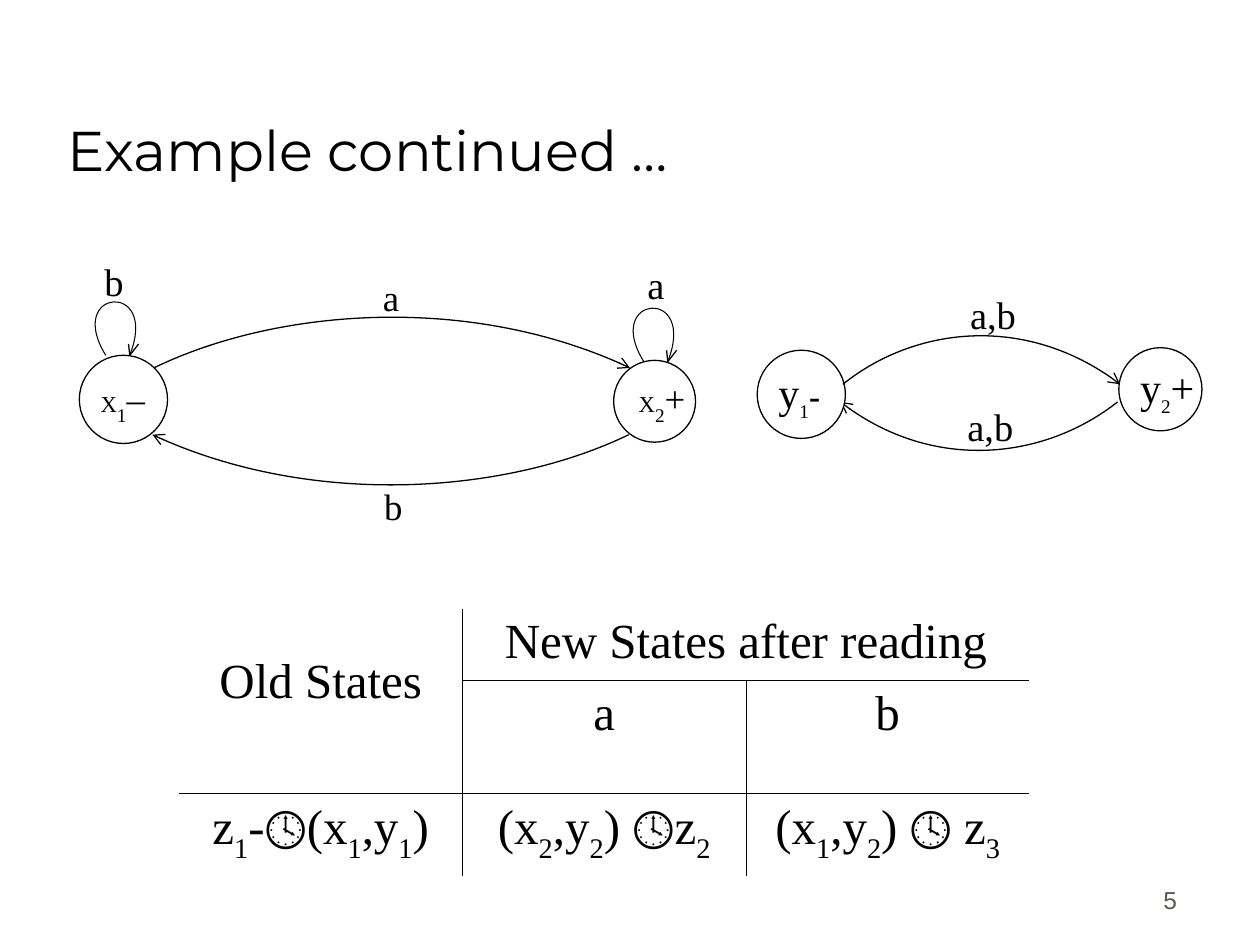
from dataclasses import dataclass
from typing import Optional

from lxml.etree import SubElement
from pptx import Presentation
from pptx.dml.color import RGBColor
from pptx.enum.shapes import MSO_SHAPE as Shape
from pptx.enum.text import MSO_ANCHOR as Anchor, PP_ALIGN as Align
from pptx.oxml.ns import qn
from pptx.util import Inches, Pt

BLACK, WHITE, GREY = "000000", "FFFFFF", "5E574E"
SERIF, SYMBOL = "Times New Roman", "Cambria"
CLOCK = "🕓"


@dataclass
class Run:
    text: str
    size: Optional[float] = None
    font: Optional[str] = None
    lowered: bool = False
    bold: bool = False


@dataclass
class Label:
    left: float
    top: float
    width: float
    height: float
    runs: list[Run]
    size: float = 22
    font: str = SERIF
    color: str = BLACK
    align: Align = Align.LEFT
    anchor: Anchor = Anchor.TOP


@dataclass
class State:
    left: float
    top: float
    diameter: float


@dataclass
class Curve:
    points: list[tuple[float, float]]
    arrow: bool = True
    weight: float = 0.75


def rgb(color: str) -> RGBColor:
    return RGBColor.from_string(color)


def subscript_runs(markup: str) -> list[Run]:
    head, *tails = markup.split("_")
    pieces = [(head, False)]
    for tail in tails:
        pieces += [(tail[0], True), (tail[1:], False)]
    runs = []
    for text, lowered in pieces:
        before, clock, after = text.partition(CLOCK)
        runs += [Run(before, lowered=lowered), Run(clock, font=SYMBOL), Run(after)]
    return [run for run in runs if run.text]


def write(paragraph, runs: list[Run], size: float, font: str = SERIF,
          color: str = BLACK, align: Align = Align.LEFT) -> None:
    paragraph.alignment = align
    paragraph.font.size = Pt(size)
    paragraph.font.name = font
    paragraph.font.color.rgb = rgb(color)
    for item in runs:
        run = paragraph.add_run()
        run.text = item.text
        if item.size:
            run.font.size = Pt(item.size)
        if item.font:
            run.font.name = item.font
        if item.bold:
            run.font.bold = True
        if item.lowered:
            run.font._element.set("baseline", "-30000")


def draw_label(slide, label: Label) -> None:
    box = slide.shapes.add_textbox(Inches(label.left), Inches(label.top),
                                   Inches(label.width), Inches(label.height))
    frame = box.text_frame
    frame.word_wrap = True
    frame.vertical_anchor = label.anchor
    write(frame.paragraphs[0], label.runs, label.size, label.font, label.color, label.align)


def draw_state(slide, state: State) -> None:
    shape = slide.shapes.add_shape(Shape.OVAL, Inches(state.left), Inches(state.top),
                                   Inches(state.diameter), Inches(state.diameter))
    shape.shadow.inherit = False
    shape.fill.solid()
    shape.fill.fore_color.rgb = rgb(WHITE)
    shape.line.color.rgb = rgb(BLACK)
    shape.line.width = Pt(0.75)


def draw_polyline(slide, points: list[tuple[float, float]], weight: float):
    start, *rest = [(Inches(x), Inches(y)) for x, y in points]
    builder = slide.shapes.build_freeform(*start)
    builder.add_line_segments(rest, close=False)
    shape = builder.convert_to_shape()
    shape.shadow.inherit = False
    shape.fill.background()
    shape.line.color.rgb = rgb(BLACK)
    shape.line.width = Pt(weight)
    return shape


def draw_curve(slide, curve: Curve) -> None:
    shape = draw_polyline(slide, curve.points, curve.weight)
    segments = list(shape._element.iter(qn("a:lnTo")))
    outline = segments[0].getparent()
    bezier = SubElement(outline, qn("a:cubicBezTo"))
    for segment in segments:
        bezier.append(segment[0])
        outline.remove(segment)
    if curve.arrow:
        SubElement(shape.line._get_or_add_ln(), qn("a:tailEnd"), type="arrow")


def draw_loop(slide, x: float, y: float) -> None:
    ends = [(x, y), (x - 0.33, y - 0.53), (x + 0.43, y - 0.6), (x + 0.19, y)]
    draw_curve(slide, Curve(ends, arrow=False, weight=0.6))
    head = [(x + 0.26, y - 0.09), (x + 0.19, y), (x + 0.18, y - 0.09)]
    draw_polyline(slide, head, 0.75)


def draw_borders(cell, visible: dict[str, bool]) -> None:
    properties = cell._tc.get_or_add_tcPr()
    for side, shown in visible.items():
        line = SubElement(properties, qn(f"a:ln{side}"), w=str(Pt(0.45)))
        fill = SubElement(line, qn("a:solidFill" if shown else "a:noFill"))
        if shown:
            SubElement(fill, qn("a:srgbClr"), val=BLACK)


def draw_transitions(slide, rows: list[list[str]], heights: list[float]) -> None:
    frame = slide.shapes.add_table(3, 3, Inches(1.42), Inches(4.83),
                                   Inches(6.75), Inches(sum(heights)))
    table = frame.table
    table.first_row = table.horz_banding = False
    for column in table.columns:
        column.width = Inches(2.25)
    for row, height in zip(table.rows, heights):
        row.height = Inches(height)
    table.cell(0, 0).merge(table.cell(1, 0))
    table.cell(0, 1).merge(table.cell(0, 2))
    for r, texts in enumerate(rows):
        for c, text in enumerate(texts):
            cell = table.cell(r, c)
            draw_borders(cell, {
                "L": c == 1 or (c == 2 and r > 0),
                "R": c == 0 or (c == 1 and r > 0),
                "T": r == 2 or (r == 1 and c > 0),
                "B": r == 1 or (r == 0 and c > 0),
            })
            cell.fill.background()
            if text:
                write(cell.text_frame.paragraphs[0], subscript_runs(text), 28, align=Align.CENTER)
    table.cell(0, 0).margin_top = Inches(0.37)


def state_runs(name: str, number: str, sign: Run) -> list[Run]:
    return [Run(name), Run(number, 19, lowered=True), sign]


LABELS = [
    Label(7.36, 6.81, 2.08, 0.5, [Run("5")], 14, "Arial", GREY, Align.RIGHT, Anchor.BOTTOM),
    Label(0.44, 0.25, 8.5, 1.25, [Run("Example continued …")], 32, "Montserrat",
          anchor=Anchor.BOTTOM),
    Label(7.6, 2.26, 1.01, 0.41, [Run("a,b")]),
    Label(7.58, 3.15, 1.01, 0.41, [Run("a,b")]),
    Label(5.04, 2.02, 0.84, 0.56, [Run("a")]),
    Label(0.73, 2, 0.84, 0.56, [Run("b")]),
    Label(2.94, 2.13, 0.33, 0.33, [Run("a")], 21),
    Label(2.95, 3.79, 0.39, 0.46, [Run("b")], 21),
    Label(0.7, 2.93, 0.98, 0.5, state_runs("X", "1", Run("–", 21)), 13),
    Label(4.97, 2.93, 0.98, 0.5, state_runs("X", "2", Run("+", 21)), 13),
    Label(6.08, 2.86, 0.8, 0.45, state_runs("y", "1", Run("-", 19, bold=True)), 24),
    Label(8.95, 2.82, 0.8, 0.45, state_runs("y", "2", Run("+")), 24),
]
STATES = [State(0.63, 2.82, 0.7), State(4.87, 2.86, 0.65),
          State(6.01, 2.78, 0.7), State(8.88, 2.76, 0.66)]
Y_RETURN = Curve([(8.87, 3.19), (8.3, 3.64), (7.39, 3.75), (6.67, 3.19)])
CURVES = [
    Curve([(6.69, 3.05), (7.25, 2.6), (8.16, 2.49), (8.89, 3.05)]),
    Curve([(1.22, 2.92), (2.19, 2.45), (3.75, 2.33), (5, 2.92)]),
    Curve([(4.99, 3.45), (4.02, 3.92), (2.45, 4.03), (1.21, 3.45)]),
]
LOOPS = [(0.84, 2.82), (5.11, 2.87)]
TRANSITIONS = [
    ["Old States", "New States after reading", ""],
    ["", "a", "b"],
    [f"z_1-{CLOCK}(x_1,y_1)", f"(x_2,y_2) {CLOCK}z_2", f"(x_1,y_2) {CLOCK} z_3"],
]


def main() -> None:
    presentation = Presentation()
    presentation.slide_width, presentation.slide_height = Inches(10), Inches(7.5)
    slide = presentation.slides.add_slide(presentation.slide_layouts[6])
    draw_transitions(slide, TRANSITIONS, [0.57, 0.9, 0.65])
    draw_curve(slide, Y_RETURN)
    for state in STATES:
        draw_state(slide, state)
    for curve in CURVES:
        draw_curve(slide, curve)
    for x, y in LOOPS:
        draw_loop(slide, x, y)
    for label in LABELS:
        draw_label(slide, label)
    presentation.save("out.pptx")


if __name__ == "__main__":
    main()
